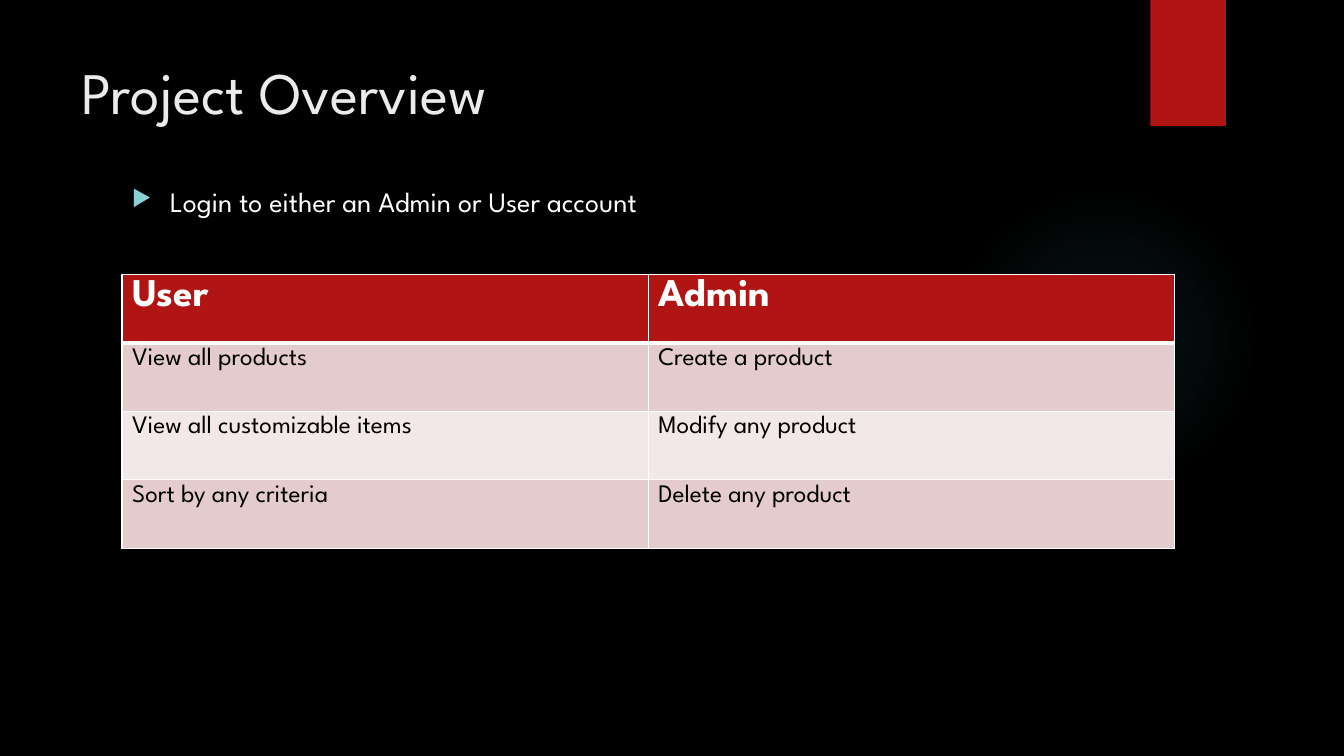
from lxml import etree
from pptx import Presentation
from pptx.dml.color import RGBColor
from pptx.enum import shapes, text
from pptx.oxml import ns
from pptx.util import Inches, Pt

FONT = "League Spartan"
RED, WHITE, BLACK = "B01513", "FFFFFF", "000000"
TITLE = "Project Overview"
LOGIN_NOTE = "Login to either an Admin or User account"
ROLES = [
    ("User", "Admin"),
    ("View all products", "Create a product"),
    ("View all customizable items", "Modify any product"),
    ("Sort by any criteria", "Delete any product"),
]
BANDS = ["F2E8E7", "E4CCCC"]
GLOW_COLOR = "50B9C1"
GLOW_STOPS = [(0, 7), (36, 6), (69, 0)]  # position %, opacity %
COLUMN_WIDTH, ROW_HEIGHT = 5.22, 0.68


def rgb(value):
    return RGBColor.from_string(value)


def add_xml(parent, tag, **attributes):
    return etree.SubElement(parent, ns.qn(tag), attributes)


def add_words(paragraph, words, size, color, bold=False):
    run = paragraph.add_run()
    run.text = words
    font = run.font
    font.name, font.size, font.bold = FONT, Pt(size), bold
    font.color.rgb = rgb(color)


def add_text_area(slide, box):
    frame = slide.shapes.add_textbox(*map(Inches, box)).text_frame
    frame.word_wrap = True
    frame.vertical_anchor = text.MSO_ANCHOR.TOP
    return frame.paragraphs[0]


def add_plain_shape(slide, preset, box):
    shape = slide.shapes.add_shape(preset, *map(Inches, box))
    shape.shadow.inherit = False
    shape.line.fill.background()
    return shape


def add_glow(slide):
    glow = add_plain_shape(slide, shapes.MSO_SHAPE.OVAL, (9.41, 1.83, 3.08, 3.08))
    gradient = etree.Element(ns.qn("a:gradFill"), rotWithShape="1")
    stops = add_xml(gradient, "a:gsLst")
    for position, opacity in GLOW_STOPS:
        stop = add_xml(stops, "a:gs", pos=str(position * 1000))
        color = add_xml(stop, "a:srgbClr", val=GLOW_COLOR)
        add_xml(color, "a:alpha", val=str(opacity * 1000))
    circle = add_xml(gradient, "a:path", path="circle")
    add_xml(circle, "a:fillToRect", l="50000", t="50000", r="50000", b="50000")
    glow.element.spPr.find(ns.qn("a:prstGeom")).addnext(gradient)


def set_bullet(paragraph):
    props = paragraph._p.get_or_add_pPr()
    indent = Inches(0.38)
    props.set("marL", str(indent))
    props.set("indent", str(-indent))
    add_xml(add_xml(props, "a:buClr"), "a:srgbClr", val="8AD0D6")
    add_xml(props, "a:buSzPct", val="80000")
    add_xml(props, "a:buChar", char="▶")


def set_borders(cell, widths):
    """Draw white borders; widths are points for left, right, top, bottom."""
    props = cell._tc.get_or_add_tcPr()
    for place, (side, width) in enumerate(zip("LRTB", widths)):
        line = etree.Element(ns.qn(f"a:ln{side}"), w=str(Pt(width)))
        add_xml(add_xml(line, "a:solidFill"), "a:srgbClr", val=WHITE)
        props.insert(place, line)


def add_roles_table(slide):
    rows, columns = len(ROLES), len(ROLES[0])
    box = (1.21, 2.72, columns * COLUMN_WIDTH, rows * ROW_HEIGHT)
    table = slide.shapes.add_table(rows, columns, *map(Inches, box)).table
    for r, row in enumerate(ROLES):
        header = r == 0
        for c, words in enumerate(row):
            cell = table.cell(r, c)
            cell.fill.solid()
            cell.fill.fore_color.rgb = rgb(RED if header else BANDS[r % 2])
            set_borders(cell, (1, 1, 3 if r == 1 else 1, 3 if header else 1))
            style = (28, WHITE, True) if header else (18, BLACK)
            add_words(cell.text_frame.paragraphs[0], words, *style)


def main():
    deck = Presentation()
    deck.slide_width, deck.slide_height = Inches(13.33), Inches(7.5)
    slide = deck.slides.add_slide(deck.slide_layouts[6])
    slide.background.fill.solid()
    slide.background.fill.fore_color.rgb = rgb(BLACK)

    add_glow(slide)
    ribbon = add_plain_shape(slide, shapes.MSO_SHAPE.RECTANGLE, (11.41, 0, 0.75, 1.25))
    ribbon.fill.solid()
    ribbon.fill.fore_color.rgb = rgb(RED)

    title = add_text_area(slide, (0.71, 0.5, 10.29, 1.53))
    add_words(title, TITLE, 42, "EBEBEB")
    add_roles_table(slide)

    login = add_text_area(slide, (1.21, 1.78, 9.78, 4.59))
    login.space_before = Pt(10)
    set_bullet(login)
    add_words(login, LOGIN_NOTE, 20, WHITE)

    deck.save("out.pptx")


if __name__ == "__main__":
    main()
